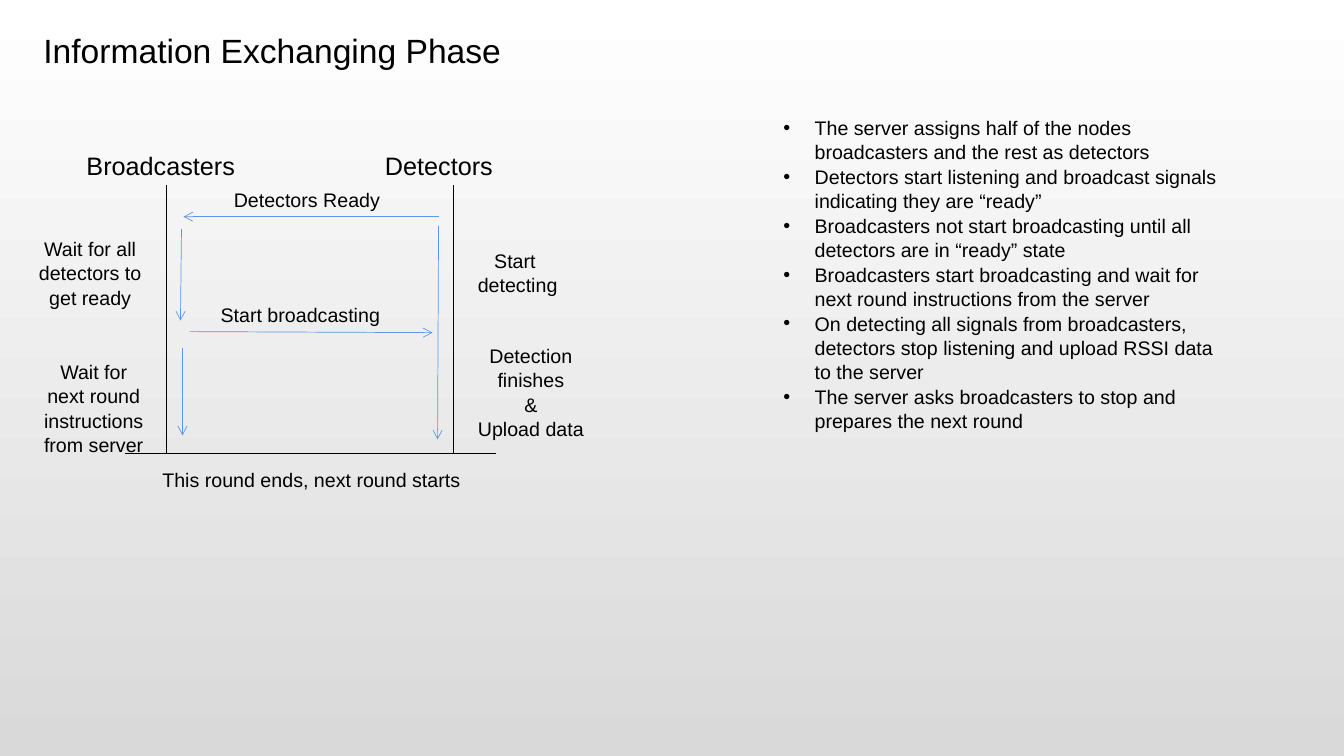
from lxml.etree import SubElement
from pptx import Presentation
from pptx.dml.color import RGBColor
from pptx.enum.shapes import MSO_CONNECTOR
from pptx.enum.text import MSO_ANCHOR, MSO_AUTO_SIZE, PP_ALIGN
from pptx.oxml.ns import qn
from pptx.util import Inches, Pt

THEME = {
    "font": "Arial",
    "text": RGBColor.from_string("000000"),
    "message": RGBColor.from_string("6096E6"),
    "background": [RGBColor.from_string("FFFFFF"), RGBColor.from_string("D9D9D9")],
    "title": Pt(24),
    "role": Pt(18),
    "body": Pt(14),
    "line": Pt(0.5),
}

TITLE = ["Information Exchanging Phase"]
STEPS = [
    "The server assigns half of the nodes broadcasters and the rest as detectors",
    "Detectors start listening and broadcast signals indicating they are “ready”",
    "Broadcasters not start broadcasting until all detectors are in “ready” state",
    "Broadcasters start broadcasting and wait for next round instructions from the server",
    "On detecting all signals from broadcasters, detectors stop listening and upload RSSI data to the server",
    "The server asks broadcasters to stop and prepares the next round",
]
LEFT, CENTER = PP_ALIGN.LEFT, PP_ALIGN.CENTER
LABELS = [
    (["Broadcasters"], "role", LEFT, (0.76, 1.44, 1.77, 0.4)),
    (["Detectors"], "role", LEFT, (3.72, 1.44, 1.77, 0.4)),
    (["Detectors Ready"], "body", LEFT, (2.22, 1.82, 1.71, 0.34)),
    (["Start broadcasting"], "body", LEFT, (2.09, 2.96, 1.96, 0.34)),
    (["Start ", "detecting"], "body", CENTER, (4.57, 2.41, 1.13, 0.57)),
    (["Wait for all detectors to get ready"], "body", CENTER, (0.21, 2.29, 1.37, 0.81)),
    (["Wait for next round instructions", "from server"], "body", CENTER, (0.33, 3.51, 1.2, 1.04)),
    (["Detection finishes", "&", "Upload data"], "body", CENTER, (4.62, 3.35, 1.29, 1.04)),
    (["This round ends, next round starts"], "body", CENTER, (1.01, 4.59, 4.16, 0.34)),
]
LIFELINE_TOP, ROUND_END = 1.84, 4.5
LIFELINES = [1.65, 4.5]
ROUND_END_SPAN = (1.24, 4.92)
MESSAGES = [
    (4.35, 2.15, 1.82, 2.15),
    (1.88, 3.29, 4.29, 3.3),
    (1.8, 2.27, 1.79, 3.18),
    (1.81, 3.45, 1.81, 4.32),
    (4.35, 2.24, 4.34, 4.36),
]


def apply(target, values):
    for key, value in values.items():
        setattr(target, key, value)


def write(holder, lines, size, align, box):
    apply(holder, dict(zip(("left", "top", "width", "height"), map(Inches, box))))
    frame = holder.text_frame
    apply(frame, {
        "text": "\n".join(lines),
        "word_wrap": True,
        "auto_size": MSO_AUTO_SIZE.NONE,
        "vertical_anchor": MSO_ANCHOR.TOP,
    })
    for paragraph in frame.paragraphs:
        apply(paragraph, {
            "alignment": align,
            "space_before": Pt(0),
            "line_spacing": 1.04 if box[3] > 0.5 else 1.0,
        })
        for run in paragraph.runs:
            apply(run.font, {"name": THEME["font"], "size": THEME[size]})
            run.font.color.rgb = THEME["text"]


def draw_line(slide, ends, color, arrow=False):
    line = slide.shapes.add_connector(MSO_CONNECTOR.STRAIGHT, *map(Inches, ends))
    line.line.width = THEME["line"]
    line.line.color.rgb = THEME[color]
    properties = line._element.spPr
    if arrow:
        SubElement(properties.find(qn("a:ln")), qn("a:tailEnd"), type="arrow")
    SubElement(properties, qn("a:effectLst"))


def paint_background(slide):
    fill = slide.background.fill
    fill.gradient()
    fill.gradient_angle = 270
    for stop, color in zip(fill.gradient_stops, THEME["background"]):
        stop.color.rgb = color


def main():
    deck = Presentation()
    apply(deck, {"slide_width": Inches(13.33), "slide_height": Inches(7.5)})
    slide = deck.slides.add_slide(deck.slide_layouts[1])
    paint_background(slide)

    write(slide.shapes.title, TITLE, "title", LEFT, (0.33, 0.25, 5.19, 0.5))
    steps = slide.placeholders[1]
    write(steps, STEPS, "body", LEFT, (7.67, 1.09, 4.51, 3.4))
    for paragraph in steps.text_frame.paragraphs:
        properties = paragraph._p.get_or_add_pPr()
        properties.set("marL", str(Inches(0.31)))
        properties.set("indent", str(-Inches(0.31)))

    for lines, size, align, box in LABELS:
        write(slide.shapes.add_textbox(0, 0, 0, 0), lines, size, align, box)
    for x in LIFELINES:
        draw_line(slide, (x, LIFELINE_TOP, x, ROUND_END), "text")
    start, end = ROUND_END_SPAN
    draw_line(slide, (start, ROUND_END, end, ROUND_END), "text")
    for ends in MESSAGES:
        draw_line(slide, ends, "message", arrow=True)

    deck.save("out.pptx")


if __name__ == "__main__":
    main()
